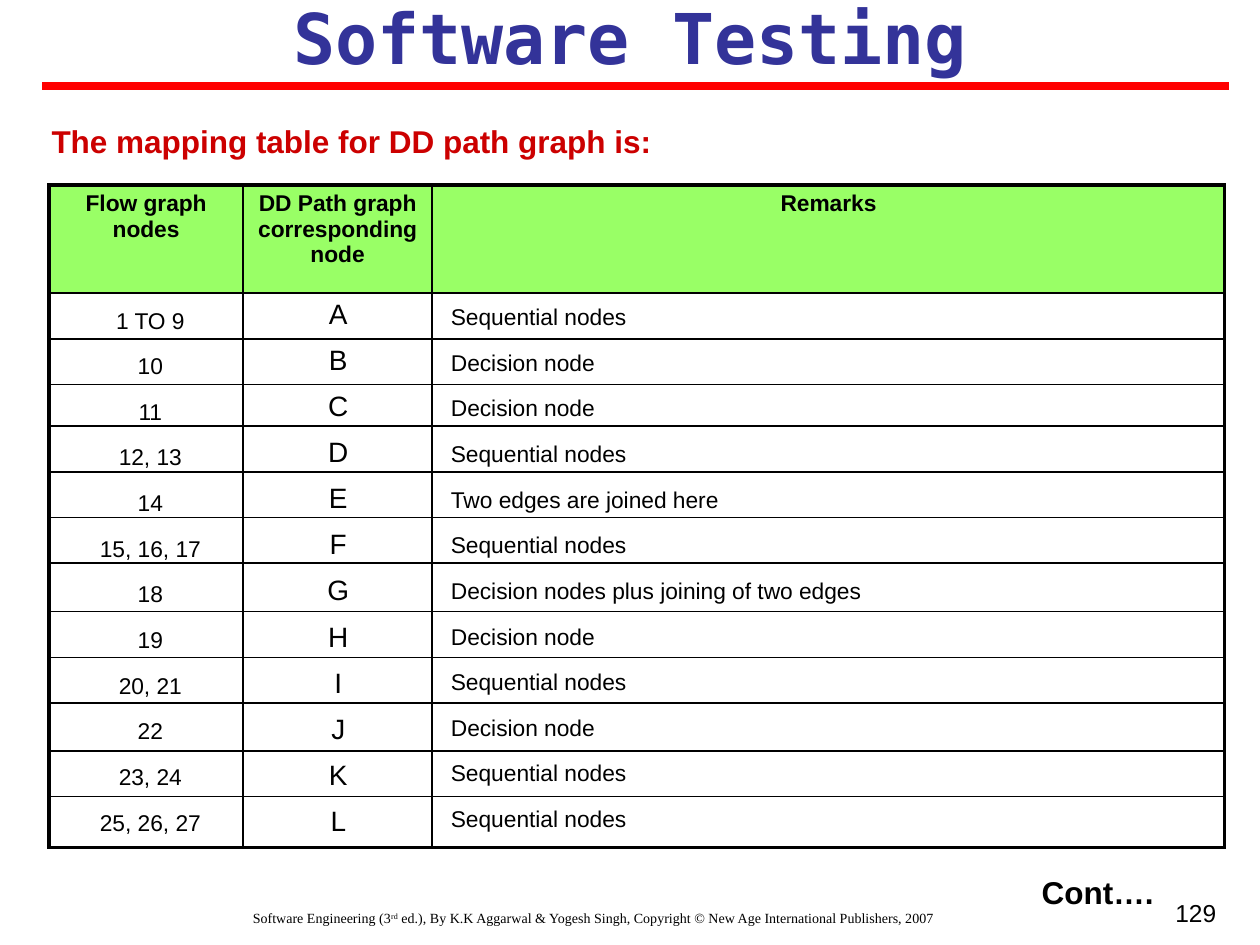
"""Build the slide that maps flow graph nodes to DD path graph nodes."""
from dataclasses import dataclass

import lxml.etree
import pptx
import pptx.dml.color
import pptx.enum.shapes
import pptx.enum.text
import pptx.oxml.ns
import pptx.util

Cm = pptx.util.Cm
Pt = pptx.util.Pt
ALIGN = pptx.enum.text.PP_ALIGN
ANCHOR = pptx.enum.text.MSO_ANCHOR
FIT = pptx.enum.text.MSO_AUTO_SIZE
qn = pptx.oxml.ns.qn

COLORS = {
    "black": "000000",
    "title": "333399",
    "rule": "FF0000",
    "lead": "CC0000",
    "head": "99FF66",
}
THICK, THIN = 2.25, 1


@dataclass
class Style:
    size: float
    color: str = "black"
    bold: bool = False
    font: str = "Arial"
    align: ALIGN = ALIGN.LEFT


@dataclass
class Box:
    left: float
    top: float
    width: float
    height: float
    inset: bool = True
    grow: bool = True
    anchor: ANCHOR = ANCHOR.TOP


@dataclass
class Column:
    left: float
    top: float
    step: float
    width: float
    height: float
    style: Style
    anchor: ANCHOR
    items: list[str]


HEAD = Style(13, bold=True, align=ALIGN.CENTER)
NOTE = Style(8, font="Times New Roman", align=ALIGN.CENTER)
HEADS = ["Flow graph nodes", "DD Path graph corresponding node", "Remarks"]
WIDTHS = [3.91, 3.81, 15.98]
ROW = 0.92
HEIGHTS = [2.18, ROW, ROW, 0.84, ROW, ROW, ROW, 0.98, ROW, ROW, 0.97, ROW, 1.03]
SEQ, DEC = "Sequential nodes", "Decision node"
LONG = "Decision nodes plus joining of two edges"
COLUMNS = [
    Column(9.09, 6.1, 0.92, 5.87, 0.56, Style(13), ANCHOR.MIDDLE,
           [SEQ, DEC, DEC, SEQ, "Two edges are joined here", SEQ,
            LONG, DEC, SEQ, DEC, SEQ, SEQ]),
    Column(6.5, 5.97, 0.93, 0.64, 0.69, Style(16, align=ALIGN.CENTER),
           ANCHOR.TOP, list("ABCDEFGHIJKL")),
    Column(1.66, 6.17, 0.92, 2.74, 0.56, Style(13, align=ALIGN.CENTER),
           ANCHOR.MIDDLE,
           ["1 TO 9", "10", "11", "12, 13", "14", "15, 16, 17", "18", "19",
            "20, 21", "22", "23, 24", "25, 26, 27"]),
]


def tint(name: str) -> pptx.dml.color.RGBColor:
    """Return a named colour."""
    return pptx.dml.color.RGBColor.from_string(COLORS[name])


def add_run(para, text: str, style: Style, raised: bool = False) -> None:
    """Add one styled run to a paragraph."""
    para.alignment = style.align
    run = para.add_run()
    run.text = text
    run.font.name = style.font
    run.font.size = Pt(style.size)
    run.font.bold = style.bold
    run.font.color.rgb = tint(style.color)
    if raised:
        run.font._element.set("baseline", "30000")


def add_text(slide, box: Box, style: Style, *parts: str) -> None:
    """Add a text box whose every second part is superscript."""
    shape = slide.shapes.add_textbox(
        Cm(box.left), Cm(box.top), Cm(box.width), Cm(box.height))
    frame = shape.text_frame
    frame.word_wrap = True
    frame.auto_size = FIT.SHAPE_TO_FIT_TEXT if box.grow else FIT.NONE
    frame.vertical_anchor = box.anchor
    if not box.inset:
        frame.margin_left = frame.margin_right = Cm(0)
        frame.margin_top = frame.margin_bottom = Cm(0)
    for spot, part in enumerate(parts):
        add_run(frame.paragraphs[0], part, style, spot % 2 == 1)


def add_rule(slide) -> None:
    """Add the red line under the title."""
    line = slide.shapes.add_connector(
        pptx.enum.shapes.MSO_CONNECTOR.STRAIGHT,
        Cm(0.85), Cm(1.73), Cm(24.77), Cm(1.73))
    line.line.color.rgb = tint("rule")
    line.line.width = Pt(4.5)
    lxml.etree.SubElement(line._element.spPr, qn("a:effectLst"))


def set_edges(cell, edges: dict[str, float]) -> None:
    """Give a cell its black borders, ahead of its fill."""
    props = cell._tc.get_or_add_tcPr()
    for spot, (side, width) in enumerate(edges.items()):
        line = lxml.etree.Element(qn(f"a:ln{side}"), w=str(Pt(width)))
        fill = lxml.etree.SubElement(line, qn("a:solidFill"))
        lxml.etree.SubElement(fill, qn("a:srgbClr"), val=COLORS["black"])
        props.insert(spot, line)


def add_grid(slide) -> None:
    """Add the ruled table with its green header."""
    rows, cols = len(HEIGHTS), len(WIDTHS)
    table = slide.shapes.add_table(
        rows, cols, Cm(0.99), Cm(3.73),
        Cm(sum(WIDTHS)), Cm(sum(HEIGHTS))).table
    table.first_row = table.horz_banding = False
    for col, width in zip(table.columns, WIDTHS):
        col.width = Cm(width)
    for row, height in zip(table.rows, HEIGHTS):
        row.height = Cm(height)
    for r in range(rows):
        for c in range(cols):
            cell = table.cell(r, c)
            if r == 0:
                cell.fill.solid()
                cell.fill.fore_color.rgb = tint("head")
                add_run(cell.text_frame.paragraphs[0], HEADS[c], HEAD)
            else:
                cell.fill.background()
                cell.margin_top = cell.margin_bottom = Cm(0)
            set_edges(cell, {
                "L": THICK if c == 0 else THIN,
                "R": THICK if c == cols - 1 else THIN,
                "T": THICK if r == 0 else THIN,
                "B": THICK if r == rows - 1 else THIN,
            })


def add_column(slide, col: Column) -> None:
    """Add the evenly stepped entries of one column."""
    for spot, item in enumerate(col.items):
        width = 10.72 if item == LONG else col.width
        box = Box(col.left, col.top + spot * col.step, width, col.height,
                  inset=False, anchor=col.anchor)
        add_text(slide, box, col.style, item)


def main() -> None:
    """Build and save the slide."""
    deck = pptx.Presentation()
    deck.slide_width, deck.slide_height = Cm(25.4), Cm(19.05)
    slide = deck.slides.add_slide(deck.slide_layouts[6])
    add_text(slide, Box(0.64, 18.21, 22.66, 0.84, grow=False), NOTE,
             "Software Engineering (3", "rd",
             " ed.), By K.K Aggarwal & Yogesh Singh, Copyright © "
             "New Age International Publishers, 2007")
    add_text(slide, Box(18.85, 17.98, 5.92, 1.5, grow=False),
             Style(14, align=ALIGN.RIGHT), "129")
    add_text(slide, Box(0.85, -0.23, 23.7, 1.96),
             Style(40, "title", True, "DejaVu Sans Mono", ALIGN.CENTER),
             "Software Testing")
    add_rule(slide)
    add_grid(slide)
    add_text(slide, Box(20.75, 17.48, 2.97, 1.02), Style(18, bold=True), "Cont….")
    add_text(slide, Box(1.04, 2.46, 23.5, 0.76, inset=False),
             Style(18, "lead", True), "The mapping table for DD path graph is:")
    for col in COLUMNS:
        add_column(slide, col)
    deck.save("out.pptx")


if __name__ == "__main__":
    main()
